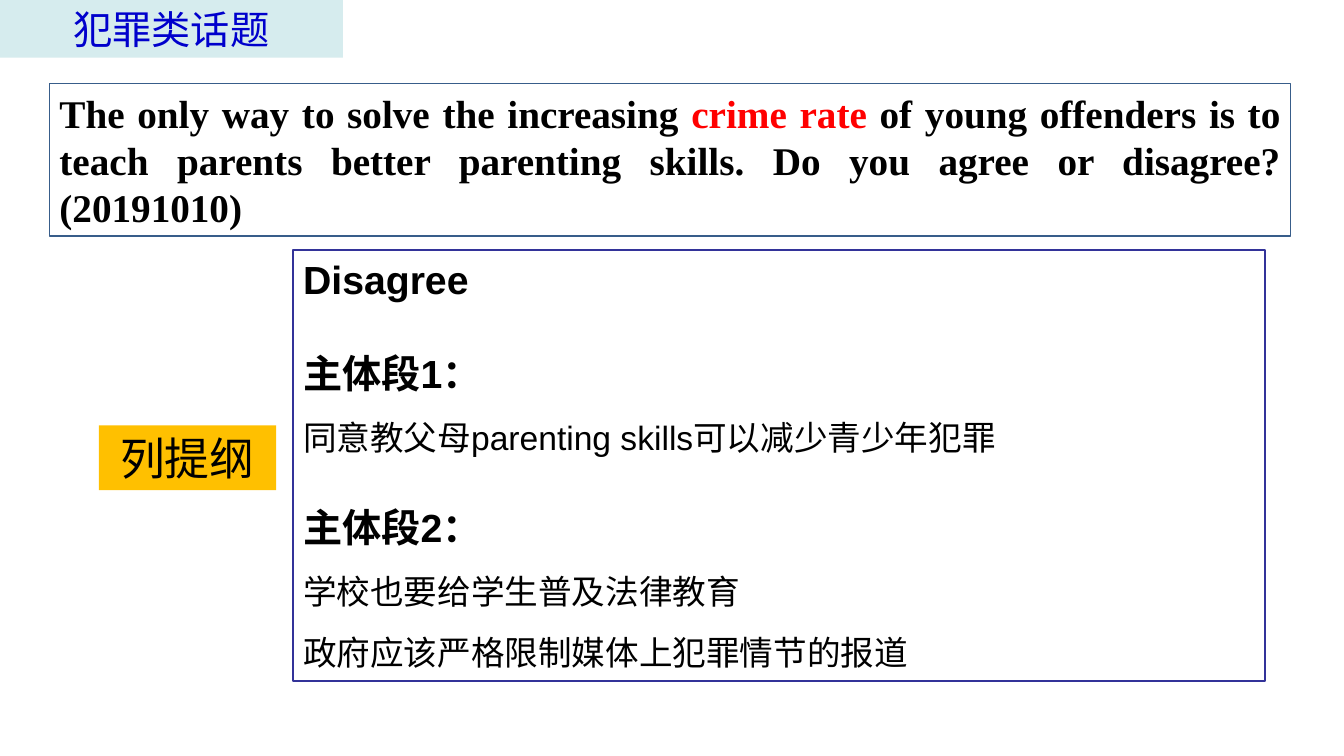
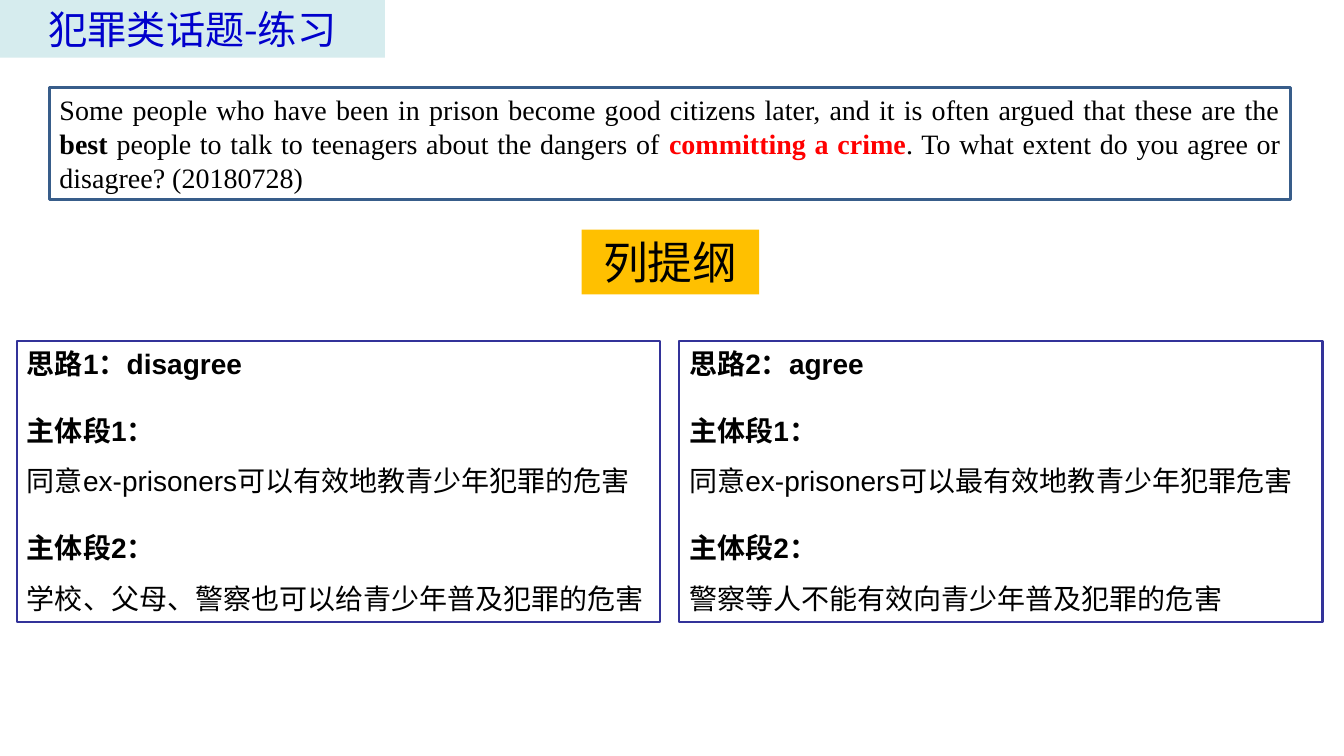
"""Build two essay-outline slides on crime topics."""
from lxml import etree
from pptx import Presentation
from pptx import util as u
from pptx.dml.color import RGBColor
from pptx.enum import text
from pptx.oxml import ns

PALE_TEAL = RGBColor(0xD6, 0xEC, 0xEE)
TITLE_BLUE = RGBColor(0x00, 0x00, 0xCC)
AMBER = RGBColor(0xFF, 0xC0, 0x00)
QUESTION_BLUE = RGBColor(0x38, 0x5D, 0x8A)
OUTLINE_BLUE = RGBColor(0x33, 0x33, 0x99)
BLACK = RGBColor(0x00, 0x00, 0x00)
RED = RGBColor(0xFF, 0x00, 0x00)

ALIGN = text.PP_ALIGN
SINGLE, LOOSE, EMPTY_LINE = 1.2, 1.8, 1.2
FRAME_FORMAT = {
    "word_wrap": True,
    "auto_size": text.MSO_AUTO_SIZE.NONE,
    "vertical_anchor": text.MSO_ANCHOR.TOP,
    "margin_left": u.Cm(0.25), "margin_right": u.Cm(0.25),
    "margin_top": u.Cm(0.13), "margin_bottom": u.Cm(0.13),
}
TITLE_FONT, QUESTION_FONT, BODY_FONT = "Noto Sans CJK SC", "Times New Roman", "Arial"
TITLE_HEIGHT = 1.45
QUESTION_LEFT, QUESTION_WIDTH = 1.25, 31.27
TAG_TEXT, TAG_WIDTH, TAG_HEIGHT = "列提纲", 4.47, 1.63
OUTLINE_GAP = 0.48

SLIDES = [
    {
        "layout": 1,
        "title": ("犯罪类话题", 8.64),
        "question": {
            "top": 2.11, "height": 3.84, "size": 28, "line": 1,
            "runs": [
                ("The only way to solve the increasing ", True, BLACK),
                ("crime rate", True, RED),
                (" of young offenders is to teach parents better parenting skills. "
                 "Do you agree or disagree? (20191010)", True, BLACK),
            ],
        },
        "tag": (2.49, 10.72),
        "outline_box": (7.39, 6.3, 24.49, 10.85),
        "sizes": (28, 24),
        "outlines": [
            ("Disagree", [
                ("主体段1：", ["同意教父母parenting skills可以减少青少年犯罪"]),
                ("主体段2：", ["学校也要给学生普及法律教育",
                            "政府应该严格限制媒体上犯罪情节的报道"]),
            ]),
        ],
    },
    {
        "layout": 3,
        "title": ("犯罪类话题-练习", 9.7),
        "question": {
            "top": 2.21, "height": 2.82, "size": 20, "line": 2.25,
            "runs": [
                ("Some people who have been in prison become good citizens later, "
                 "and it is often argued that these are the ", False, BLACK),
                ("best", True, BLACK),
                (" people to talk to teenagers about the dangers of ", False, BLACK),
                ("committing a crime", True, RED),
                (". To what extent do you agree or disagree? (20180728)", False, BLACK),
            ],
        },
        "tag": (14.66, 5.79),
        "outline_box": (0.43, 8.59, 16.21, 7.09),
        "sizes": (20, 20),
        "outlines": [
            ("思路1：disagree", [
                ("主体段1：", ["同意ex-prisoners可以有效地教青少年犯罪的危害"]),
                ("主体段2：", ["学校、父母、警察也可以给青少年普及犯罪的危害"]),
            ]),
            ("思路2：agree", [
                ("主体段1：", ["同意ex-prisoners可以最有效地教青少年犯罪危害"]),
                ("主体段2：", ["警察等人不能有效向青少年普及犯罪的危害"]),
            ]),
        ],
    },
]


def style_box(box, place, fill=None, line=None):
    for side, length in zip(("left", "top", "width", "height"), place):
        setattr(box, side, u.Cm(length))
    for name, value in FRAME_FORMAT.items():
        setattr(box.text_frame, name, value)
    if fill is not None:
        box.fill.solid()
        box.fill.fore_color.rgb = fill
    if line is not None:
        color, width = line
        box.line.color.rgb = color
        box.line.width = u.Pt(width)


def write(paragraph, runs, font, size, align, spacing=SINGLE, before=0):
    properties = paragraph._p.get_or_add_pPr()
    properties.set("marL", "0")
    properties.set("indent", "0")
    etree.SubElement(properties, ns.qn("a:buNone"))
    paragraph_format = {
        "alignment": align,
        "line_spacing": u.Pt(size * spacing),
        "space_before": u.Pt(before),
        "space_after": u.Pt(0),
    }
    for name, value in paragraph_format.items():
        setattr(paragraph, name, value)
    for words, bold, color in runs:
        run = paragraph.add_run()
        run.text = words
        for name, value in {"name": font, "size": u.Pt(size), "bold": bold}.items():
            setattr(run.font, name, value)
        run.font.color.rgb = color
        east_asian = etree.SubElement(run._r.get_or_add_rPr(), ns.qn("a:ea"))
        east_asian.set("typeface", font)


def write_outline(frame, stance, sections, sizes):
    heading_size, point_size = sizes
    write(frame.paragraphs[0], [(stance, True, BLACK)], BODY_FONT, heading_size, ALIGN.LEFT)
    for heading, points in sections:
        write(frame.add_paragraph(), [(heading, True, BLACK)], BODY_FONT, heading_size,
              ALIGN.LEFT, before=heading_size * EMPTY_LINE)
        for point in points:
            write(frame.add_paragraph(), [(point, False, BLACK)], BODY_FONT, point_size,
                  ALIGN.LEFT, LOOSE)


def add_label(slide, place, runs, font, size, align, **look):
    label = slide.shapes.add_textbox(0, 0, 0, 0)
    style_box(label, place, **look)
    write(label.text_frame.paragraphs[0], runs, font, size, align)


def build_slide(deck, content):
    slide = deck.slides.add_slide(deck.slide_layouts[content["layout"]])
    heading, width = content["title"]
    title = slide.shapes.title
    style_box(title, (0, 0, width, TITLE_HEIGHT), fill=PALE_TEAL)
    write(title.text_frame.paragraphs[0], [(heading, False, TITLE_BLUE)],
          TITLE_FONT, 28, ALIGN.CENTER)

    question = content["question"]
    add_label(slide, (QUESTION_LEFT, question["top"], QUESTION_WIDTH, question["height"]),
              question["runs"], QUESTION_FONT, question["size"], ALIGN.JUSTIFY,
              line=(QUESTION_BLUE, question["line"]))
    add_label(slide, (*content["tag"], TAG_WIDTH, TAG_HEIGHT), [(TAG_TEXT, False, BLACK)],
              BODY_FONT, 32, ALIGN.CENTER, fill=AMBER)

    left, top, width, height = content["outline_box"]
    for column, (stance, sections) in enumerate(content["outlines"]):
        outline = slide.placeholders[column + 1]
        style_box(outline, (left + column * (width + OUTLINE_GAP), top, width, height),
                  line=(OUTLINE_BLUE, 1.5))
        write_outline(outline.text_frame, stance, sections, content["sizes"])


def main():
    deck = Presentation()
    deck.slide_width, deck.slide_height = u.Cm(33.87), u.Cm(19.05)
    for content in SLIDES:
        build_slide(deck, content)
    deck.save("out.pptx")


if __name__ == "__main__":
    main()
